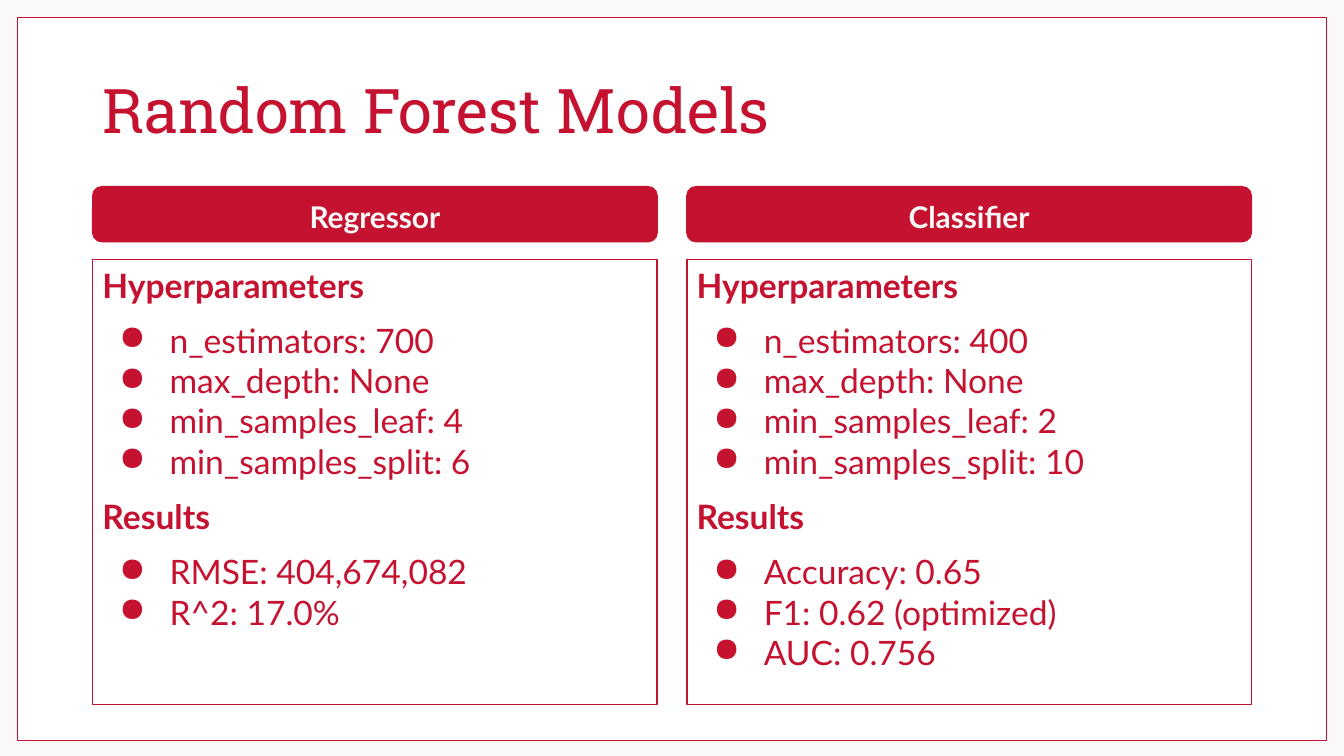
import pptx
import pptx.dml.color
import pptx.enum.shapes
import pptx.enum.text
import pptx.oxml.ns
import pptx.util
from lxml import etree

Pt = pptx.util.Pt
RED = pptx.dml.color.RGBColor(0xC4, 0x12, 0x30)
CREAM = pptx.dml.color.RGBColor(0xFA, 0xF9, 0xF7)
WHITE = pptx.dml.color.RGBColor(0xFF, 0xFF, 0xFF)
SHAPE = pptx.enum.shapes.MSO_SHAPE
ALIGN = pptx.enum.text.PP_ALIGN
ANCHOR = pptx.enum.text.MSO_ANCHOR

LEFT, COLUMN_W, GAP = 49.7, 302.4, 15.9
BODY_INSETS = (5.2, 2.6)

COLUMNS = [
    ("Regressor", [
        ("Hyperparameters", ["n_estimators: 700", "max_depth: None",
                             "min_samples_leaf: 4", "min_samples_split: 6"]),
        ("Results", ["RMSE: 404,674,082", "R^2: 17.0%"]),
    ]),
    ("Classifier", [
        ("Hyperparameters", ["n_estimators: 400", "max_depth: None",
                             "min_samples_leaf: 2", "min_samples_split: 10"]),
        ("Results", ["Accuracy: 0.65", "F1: 0.62 (optimized)", "AUC: 0.756"]),
    ]),
]


class Deck:
    heading_font = "Roboto Slab"
    body_font = "Lato"

    def __init__(self):
        self.prs = pptx.Presentation()
        self.prs.slide_width, self.prs.slide_height = Pt(720), Pt(405)
        self.s = self.prs.slides.add_slide(self.prs.slide_layouts[6])
        self.s.background.fill.solid()
        self.s.background.fill.fore_color.rgb = CREAM

    def box(self, kind, bounds, fill=None):
        sp = self.s.shapes.add_shape(kind, *map(Pt, bounds))
        sp.shadow.inherit = False
        if fill is None:
            sp.fill.background()
        else:
            sp.fill.solid()
            sp.fill.fore_color.rgb = fill
        sp.line.color.rgb = RED
        sp.line.width = Pt(0.75)
        return sp

    def frame(self, sp, insets, anchor):
        """Set wrapping, insets (horizontal, vertical) and anchor of the text."""
        tf = sp.text_frame
        h, v = map(Pt, insets)
        values = dict(word_wrap=True, vertical_anchor=anchor, margin_left=h,
                      margin_right=h, margin_top=v, margin_bottom=v)
        for name, value in values.items():
            setattr(tf, name, value)
        return tf

    def add_text(self, p, text, size, font=body_font, color=RED, bold=False,
                 **layout):
        for name, value in {"alignment": ALIGN.LEFT, **layout}.items():
            setattr(p, name, value)
        r = p.add_run()
        r.text = text
        for name, value in dict(size=Pt(size), name=font, bold=bold).items():
            setattr(r.font, name, value)
        r.font.color.rgb = color

    def bullet(self, p):
        pPr = p._p.get_or_add_pPr()
        pPr.set("marL", str(Pt(36)))
        pPr.set("indent", str(Pt(-27)))
        qn = pptx.oxml.ns.qn
        color = etree.SubElement(pPr, qn("a:buClr"))
        etree.SubElement(color, qn("a:srgbClr"), val=str(RED))
        etree.SubElement(pPr, qn("a:buChar"), char="●")

    def title(self, text):
        sp = self.s.shapes.add_textbox(Pt(LEFT), Pt(21.6), Pt(620.7), Pt(78.5))
        tf = self.frame(sp, BODY_INSETS, ANCHOR.MIDDLE)
        self.add_text(tf.paragraphs[0], text, 33, self.heading_font,
                      line_spacing=0.9)

    def header(self, x, text):
        sp = self.box(SHAPE.ROUNDED_RECTANGLE, (x, 100, COLUMN_W, 29.5), RED)
        tf = self.frame(sp, (7.2, 7.2), ANCHOR.MIDDLE)
        self.add_text(tf.paragraphs[0], text, 16, color=CREAM, bold=True,
                      alignment=ALIGN.CENTER, line_spacing=1.15)

    def panel(self, x, sections):
        sp = self.box(SHAPE.RECTANGLE, (x, 139.1, COLUMN_W, 238.2))
        tf = self.frame(sp, BODY_INSETS, ANCHOR.TOP)
        for i, (heading, items) in enumerate(sections):
            p = tf.add_paragraph() if i else tf.paragraphs[0]
            self.add_text(p, heading, 18, bold=True,
                          space_before=Pt(8 if i else 0))
            for j, item in enumerate(items):
                p = tf.add_paragraph()
                self.bullet(p)
                self.add_text(p, item, 18, space_before=Pt(0 if j else 8))


def main():
    deck = Deck()
    deck.box(SHAPE.RECTANGLE, (9.4, 9.4, 701.2, 387.4), WHITE)
    deck.title("Random Forest Models")
    for i, (name, sections) in enumerate(COLUMNS):
        x = LEFT + i * (COLUMN_W + GAP)
        deck.header(x, name)
        deck.panel(x, sections)
    deck.prs.save("out.pptx")


if __name__ == "__main__":
    main()
